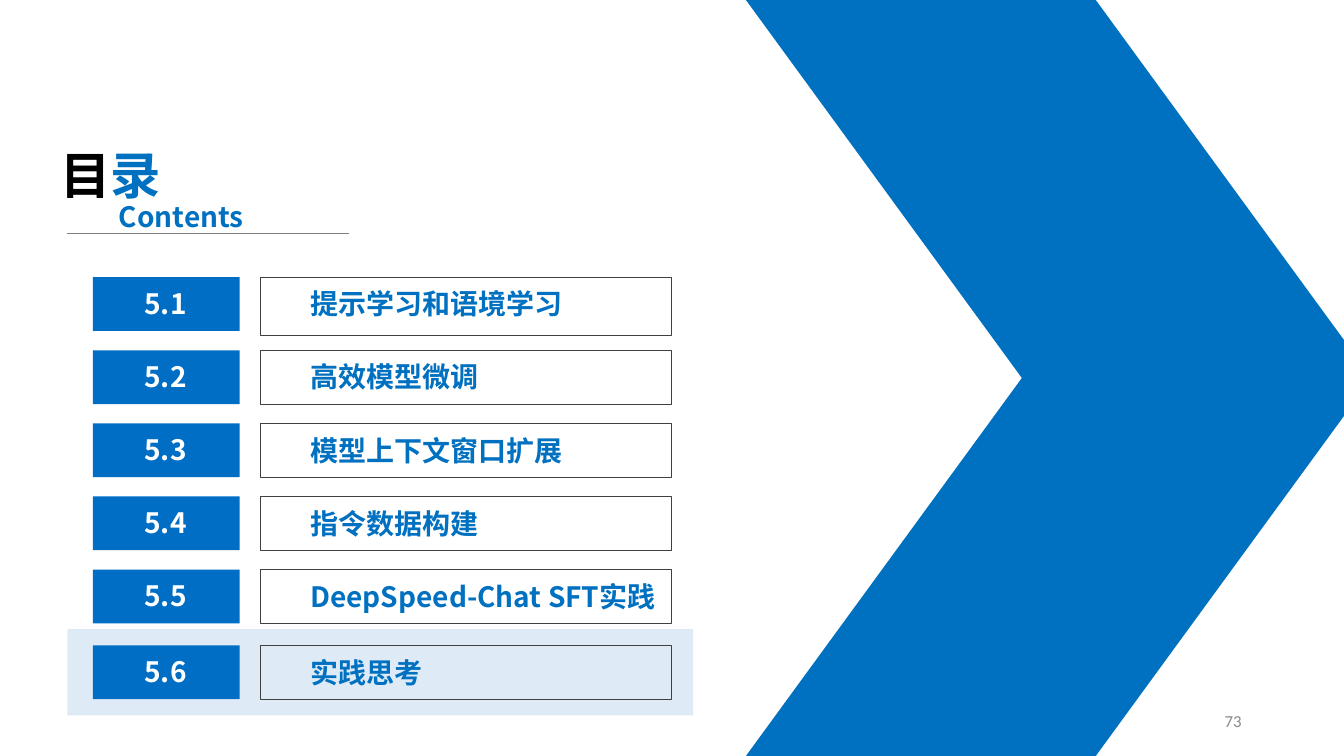
from lxml.etree import SubElement
from pptx import Presentation
from pptx.dml.color import RGBColor
from pptx.enum.shapes import MSO_CONNECTOR as Connector, MSO_SHAPE as Shape
from pptx.enum.text import MSO_ANCHOR as Anchor, MSO_AUTO_SIZE as AutoSize, PP_ALIGN as Align
from pptx.oxml.ns import qn
from pptx.util import Pt

COLORS = {
    "blue": "0070C0",
    "badge": "006EC5",
    "highlight": "DEEBF7",
    "frame": "404040",
    "rule": "7F7F7F",
    "number": "898989",
    "black": "000000",
    "white": "FFFFFF",
}
CHAPTERS = [
    "提示学习和语境学习",
    "高效模型微调",
    "模型上下文窗口扩展",
    "指令数据构建",
    "DeepSpeed-Chat SFT实践",
    "实践思考",
]


class ContentsSlide:
    """Draws styled elements, measured in points, on one slide."""

    font = "Noto Sans CJK SC"

    def __init__(self, slide):
        self.shapes = slide.shapes

    def color(self, name):
        return RGBColor.from_string(COLORS[name])

    def box(self, left, top, width, height, fill=None, line=None, kind=Shape.RECTANGLE):
        shape = self.shapes.add_shape(kind, Pt(left), Pt(top), Pt(width), Pt(height))
        shape.shadow.inherit = False
        if fill:
            shape.fill.solid()
            shape.fill.fore_color.rgb = self.color(fill)
        else:
            shape.fill.background()
        if line:
            shape.line.color.rgb = self.color(line)
            shape.line.width = Pt(0.75)
        else:
            shape.line.fill.background()
        return shape

    def slant(self, left, top, width, height, flipped=False):
        band = self.box(left, top, width, height, "blue", kind=Shape.PARALLELOGRAM)
        band.adjustments[0] = 0.73
        if flipped:
            band._element.spPr.find(qn("a:xfrm")).set("flipV", "1")

    def rule(self, left, top, right):
        line = self.shapes.add_connector(Connector.STRAIGHT, Pt(left), Pt(top), Pt(right), Pt(top))
        line.line.color.rgb = self.color("rule")
        line.line.width = Pt(0.5)
        SubElement(line._element.spPr, qn("a:effectLst"))

    def text(self, left, top, width, height, runs, size=20, align=Align.LEFT,
             font=None, bold=True, grow=True):
        frame = self.shapes.add_textbox(Pt(left), Pt(top), Pt(width), Pt(height)).text_frame
        frame.word_wrap = True
        if grow:
            frame.auto_size = AutoSize.SHAPE_TO_FIT_TEXT
        else:
            frame.vertical_anchor = Anchor.MIDDLE
        paragraph = frame.paragraphs[0]
        paragraph.alignment = align
        for words, color in runs:
            run = paragraph.add_run()
            run.text = words
            run.font.size = Pt(size)
            run.font.bold = bold
            run.font.color.rgb = self.color(color)
            run.font.name = font or self.font
            SubElement(run.font._element, qn("a:ea"), typeface=font or self.font)

    def chapter(self, top, number, title, frame_height):
        self.box(186, top, 294, frame_height, line="frame")
        self.text(214.6, top + 3.4, 294, 31.7, [(title, "blue")])
        self.box(66.4, top, 104.8, 38.4, "badge")
        self.text(80.4, top + 3, 75.6, 31.7, [(number, "white")], align=Align.CENTER)


def main():
    deck = Presentation()
    deck.slide_width, deck.slide_height = Pt(960), Pt(540)
    contents = ContentsSlide(deck.slides.add_slide(deck.slide_layouts[6]))

    contents.box(48.2, 449.3, 447, 61.7, "highlight")
    contents.slant(532.8, 270, 447, 270)
    contents.slant(532.8, 0, 447, 270, flipped=True)

    contents.text(36, 99.4, 113, 51, [("目", "black"), ("录", "blue")], size=36)
    contents.rule(48.2, 166.5, 249.2)
    contents.text(77.8, 139, 113, 31.7, [("Contents", "blue")])

    highlighted_top = 449.3 + (61.7 - 38.4) / 2
    for index, title in enumerate(CHAPTERS):
        last = index == len(CHAPTERS) - 1
        top = highlighted_top if last else 198 + 52.2 * index
        contents.chapter(top, f"5.{index + 1}", title, 38.4 if index else 42)

    contents.text(678, 500.5, 216, 28.8, [("73", "number")], size=12, align=Align.RIGHT,
                  font="Calibri", bold=False, grow=False)
    deck.save("out.pptx")


if __name__ == "__main__":
    main()
